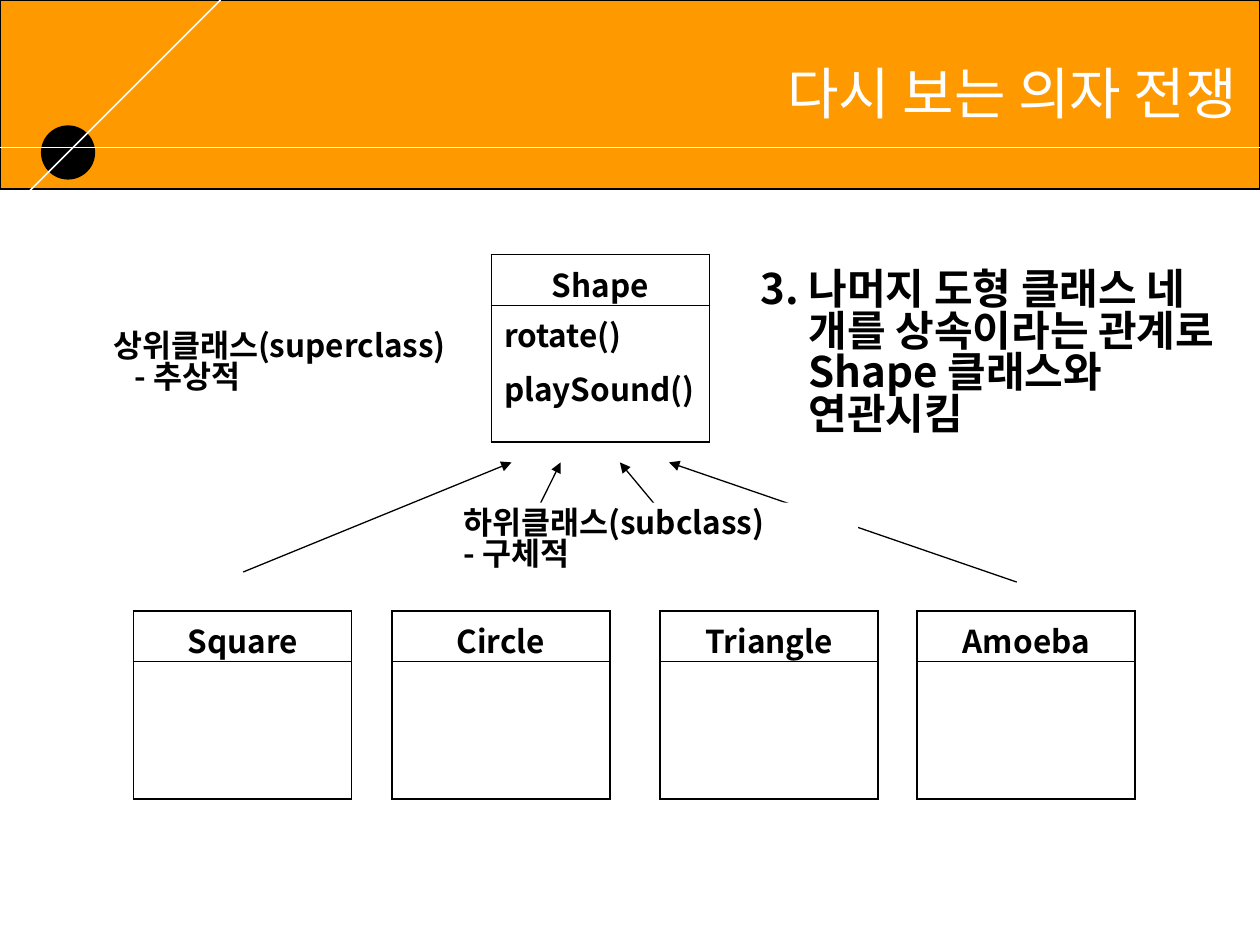
from dataclasses import dataclass

from lxml import etree
from pptx import Presentation
from pptx import util as u
from pptx.dml.color import RGBColor
from pptx.enum import shapes, text
from pptx.oxml import ns


@dataclass(frozen=True)
class Theme:
    font: str = "Noto Sans CJK KR"
    orange: RGBColor = RGBColor(0xFF, 0x99, 0x00)
    black: RGBColor = RGBColor(0, 0, 0)
    white: RGBColor = RGBColor(0xFF, 0xFF, 0xFF)
    gray: RGBColor = RGBColor(0xC0, 0xC0, 0xC0)
    title: int = 32
    note: int = 24
    body: int = 18
    line_spacing: float = 0.83


THEME = Theme()


def add_xml(parent, tag, **attributes):
    return etree.SubElement(parent, ns.qn(tag), attributes)


def format_runs(para, size, color=THEME.black, bold=True):
    for span in para.runs:
        font = span.font
        font.name, font.size, font.bold = THEME.font, u.Pt(size), bold
        font.color.rgb = color
        add_xml(font._element, "a:ea", typeface=THEME.font)


def add_block(page, kind, left, top, width, height, fill, outlined=False):
    block = page.shapes.add_shape(
        kind, u.Inches(left), u.Inches(top), u.Inches(width), u.Inches(height))
    block.shadow.inherit = False
    block.fill.solid()
    block.fill.fore_color.rgb = fill
    if outlined:
        block.line.color.rgb = THEME.black
        block.line.width = u.Pt(0.75)
    else:
        block.line.fill.background()
    return block


def add_line(page, start, end, color=THEME.black, width=0.75, arrow=False):
    line = page.shapes.add_connector(
        shapes.MSO_CONNECTOR.STRAIGHT, *map(u.Inches, start + end))
    line.line.color.rgb = color
    line.line.width = u.Pt(width)
    if arrow:
        add_xml(line.line._get_or_add_ln(), "a:tailEnd", type="triangle")
    add_xml(line._element.spPr, "a:effectLst")


def add_text(page, left, top, width, height, lines, size, wrap=True):
    box = page.shapes.add_textbox(
        u.Inches(left), u.Inches(top), u.Inches(width), u.Inches(height))
    frame = box.text_frame
    frame.word_wrap = wrap
    frame.text = "\n".join(lines)
    for para in frame.paragraphs:
        para.line_spacing = THEME.line_spacing
        format_runs(para, size)
    return box


def set_borders(cell, top, bottom):
    properties = cell._tc.get_or_add_tcPr()
    widths = {"a:lnL": 1.08, "a:lnR": 1.08, "a:lnT": top, "a:lnB": bottom}
    for tag, width in widths.items():
        line = add_xml(properties, tag, w=str(u.Pt(width)))
        fill = add_xml(line, "a:solidFill")
        add_xml(fill, "a:srgbClr", val=str(THEME.black))


def add_class(page, left, top, name, methods=()):
    table = page.shapes.add_table(
        2, 1, u.Inches(left), u.Inches(top), u.Inches(1.73), u.Inches(1.5)).table
    table.first_row = table.horz_banding = False
    contents = [name, "\n".join(methods)]
    for index, height in enumerate((0.4, 1.09)):
        table.rows[index].height = u.Inches(height)
        cell = table.cell(index, 0)
        cell.text_frame.text = contents[index]
        for number, para in enumerate(cell.text_frame.paragraphs):
            if number:
                para.space_before = u.Pt(4.5)
            if index == 0:
                para.alignment = text.PP_ALIGN.CENTER
            format_runs(para, THEME.body)
        set_borders(cell, *((1.08, 0.45) if index == 0 else (0.45, 1.08)))
        cell.fill.background()


def add_header(page):
    rectangle, oval = shapes.MSO_SHAPE.RECTANGLE, shapes.MSO_SHAPE.OVAL
    add_block(page, rectangle, 0, 1.5, 10, 6, THEME.white)
    add_block(page, rectangle, 0, 0, 10, 1.5, THEME.orange, outlined=True)
    add_block(page, oval, 0.33, 1, 0.42, 0.42, THEME.black, outlined=True)
    add_line(page, (0, 1.17), (10, 1.17), THEME.white, 1)
    add_line(page, (0, 1.75), (1.75, 0), THEME.white, 1)

    title = add_text(page, 1.42, 0.28, 8.5, 0.91, ["다시 보는 의자 전쟁"], THEME.title)
    title.text_frame.vertical_anchor = text.MSO_ANCHOR.MIDDLE
    para = title.text_frame.paragraphs[0]
    para.alignment = text.PP_ALIGN.RIGHT
    para.line_spacing = 1.0
    para.runs[0].font.bold = False
    para.runs[0].font.color.rgb = THEME.white


def add_label(page, left, top, width, lines, wrap=True):
    label = add_text(page, left, top, width, 0.7, lines, THEME.body, wrap)
    label.fill.solid()
    label.fill.fore_color.rgb = THEME.white
    return label


def add_numbered_note(page, number, words):
    note = add_text(page, 5.94, 2.1, 3.82, 1.7, [words], THEME.note)
    properties = note.text_frame.paragraphs[0]._p.get_or_add_pPr()
    indent = u.Inches(0.38)
    properties.set("marL", str(indent))
    properties.set("indent", str(-indent))
    add_xml(add_xml(properties, "a:buClr"), "a:srgbClr", val=str(THEME.black))
    add_xml(properties, "a:buFont", typeface=THEME.font)
    add_xml(properties, "a:buAutoNum", type="arabicPeriod", startAt=str(number))


def main():
    deck = Presentation()
    deck.slide_width, deck.slide_height = u.Inches(10), u.Inches(7.5)
    page = deck.slides.add_slide(deck.slide_layouts[6])
    page.background.fill.solid()
    page.background.fill.fore_color.rgb = THEME.gray
    add_header(page)

    # Class boxes: four subclasses below their superclass
    subclasses = {"Square": 1.06, "Circle": 3.11, "Triangle": 5.24, "Amoeba": 7.28}
    for name, left in subclasses.items():
        add_class(page, left, 4.85, name)
    add_class(page, 3.9, 2.02, "Shape", ["rotate()", "playSound()"])

    # Inheritance arrows
    starts = [(1.93, 4.54), (3.98, 4.62), (5.71, 4.62), (8.07, 4.62)]
    for start, tip in zip(starts, (4.06, 4.45, 4.92, 5.31)):
        add_line(page, start, (tip, 3.67), arrow=True)

    # Labels and explanation
    add_label(page, 3.58, 3.99, 3.23, ["하위클래스(subclass)", "- 구체적"])
    superclass = add_label(
        page, 0.8, 2.59, 2.9, ["상위클래스(superclass)", "- 추상적"], wrap=False)
    detail = superclass.text_frame.paragraphs[1]
    detail._p.get_or_add_pPr().set("marL", str(u.Inches(0.17)))
    add_numbered_note(
        page, 3, "나머지 도형 클래스 네 개를 상속이라는 관계로 Shape 클래스와 연관시킴")

    deck.save("out.pptx")


if __name__ == "__main__":
    main()
